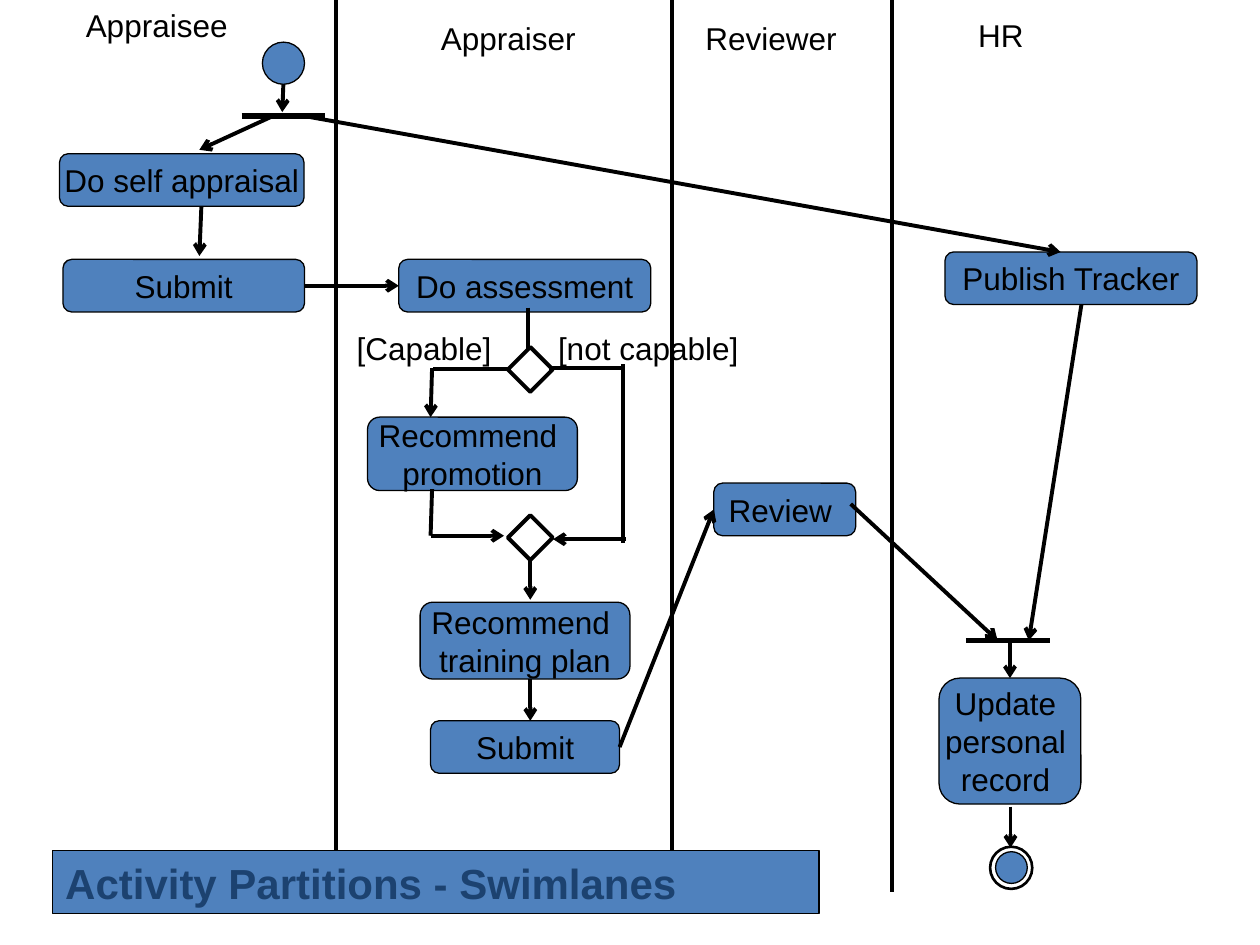
from lxml import etree
from pptx import Presentation
from pptx.dml.color import RGBColor
from pptx.enum import shapes, text
from pptx.oxml.ns import qn
from pptx.util import Cm, Pt

BLUE, BLACK, NAVY = "4F81BD", "000000", "1C4270"
FONT = "Arial"
BOX_H = 1.06
TOP, LEFT, RIGHT = 0, 1, 3
KIND = shapes.MSO_SHAPE


def rgb(value):
    return RGBColor.from_string(value)


def style_text(tf, align, size=18, color=BLACK, bold=False):
    for p in tf.paragraphs:
        p.alignment = align
        p.font.name, p.font.size, p.font.bold = FONT, Pt(size), bold
        p.font.color.rgb = rgb(color)


def paint(sp, fill, weight=0.75):
    if fill:
        sp.fill.solid()
        sp.fill.fore_color.rgb = rgb(fill)
    else:
        sp.fill.background()
    sp.line.color.rgb = rgb(BLACK)
    sp.line.width = Pt(weight)


def add_node(parent, kind, x, y, w, h, fill=BLUE, weight=0.75):
    sp = parent.shapes.add_shape(kind, Cm(x), Cm(y), Cm(w), Cm(h))
    sp.shadow.inherit = False
    paint(sp, fill, weight)
    return sp


def add_activity(s, words, x, y, w, h=BOX_H):
    sp = add_node(s, KIND.ROUNDED_RECTANGLE, x, y, w, h)
    tf = sp.text_frame
    tf.text = words
    tf.word_wrap = False
    tf.vertical_anchor = text.MSO_ANCHOR.MIDDLE
    style_text(tf, text.PP_ALIGN.CENTER)
    return sp


def add_decision(s, x, y):
    sp = add_node(s, KIND.RECTANGLE, x, y, 0.64, 0.64, None, 2.25)
    sp.rotation = 45


def add_label(s, words, x, y, w):
    tf = s.shapes.add_textbox(Cm(x), Cm(y), Cm(w), Cm(1.02)).text_frame
    tf.text = words
    tf.word_wrap = False
    tf.auto_size = text.MSO_AUTO_SIZE.SHAPE_TO_FIT_TEXT
    style_text(tf, text.PP_ALIGN.LEFT)


def add_line(s, x1, y1, x2, y2, arrow=False, weight=2.25):
    cx = s.shapes.add_connector(shapes.MSO_CONNECTOR.STRAIGHT,
                                Cm(x1), Cm(y1), Cm(x2), Cm(y2))
    cx.line.color.rgb = rgb(BLACK)
    cx.line.width = Pt(weight)
    if arrow:
        etree.SubElement(cx.line._get_or_add_ln(), qn("a:tailEnd"), type="arrow")
    etree.SubElement(cx._element.spPr, qn("a:effectLst"))
    return cx


def add_title(s, words):
    sp = s.shapes.title
    sp.left, sp.top, sp.width, sp.height = Cm(1.06), Cm(17.15), Cm(15.45), Cm(1.27)
    paint(sp, BLUE)
    tf = sp.text_frame
    tf.text = words
    tf.auto_size = text.MSO_AUTO_SIZE.NONE
    tf.vertical_anchor = text.MSO_ANCHOR.TOP
    style_text(tf, text.PP_ALIGN.LEFT, 24, NAVY, True)
    s.shapes._spTree.append(sp._element)  # bring in front of the lane borders


def main():
    prs = Presentation()
    prs.slide_width, prs.slide_height = Cm(25.4), Cm(19.05)
    s = prs.slides.add_slide(prs.slide_layouts[5])

    # Swimlane borders, title and lane names
    for x in (6.77, 13.55, 17.99):
        add_line(s, x, 0, x, 17.99)
    add_title(s, "Activity Partitions - Swimlanes")
    for label in (("Appraisee", 1.48, 0, 3.37), ("Appraiser", 8.64, 0.25, 3.22),
                  ("Reviewer", 13.97, 0.25, 3.16), ("HR", 19.47, 0.2, 1.42)):
        add_label(s, *label)

    # Activities
    add_activity(s, "Do self appraisal", 1.2, 3.1, 4.93)
    submit = add_activity(s, "Submit", 1.27, 5.23, 4.87)
    assess = add_activity(s, "Do assessment", 8.04, 5.23, 5.08)
    add_activity(s, "Recommend \npromotion", 7.41, 8.41, 4.23, 1.48)
    add_activity(s, "Recommend \ntraining plan", 8.47, 12.14, 4.23, 1.55)
    send = add_activity(s, "Submit", 8.68, 14.53, 3.81)
    review = add_activity(s, "Review ", 14.39, 9.74, 2.86)
    add_activity(s, "Publish Tracker", 19.05, 5.08, 5.08)
    update = add_activity(s, "Update \npersonal \nrecord ", 18.93, 13.67, 2.86, 2.54)

    # Decision and merge, with guards
    for y in (7.13, 10.52):
        add_decision(s, 10.37, y)
    add_label(s, "[Capable]", 6.94, 6.5, 3.22)
    add_label(s, "[not capable]", 11, 6.5, 4.19)

    # Plain segments around the decision
    for ends in ((10.65, 6.2, 10.65, 7.06), (10.24, 7.44, 8.73, 7.44),
                 (8.71, 9.86, 8.68, 10.8), (12.55, 7.42, 11.07, 7.42),
                 (12.55, 7.34, 12.55, 10.95)):
        add_line(s, *ends)

    # Fork and join bars
    for x, y, w in ((4.87, 2.34, 1.69), (19.47, 12.91, 1.7)):
        add_line(s, x, y, x + w, y, weight=3.25)

    # Flows
    for ends in (
        (5.73, 1.27, 5.69, 2.26),       # start to fork
        (5.5, 2.34, 4.02, 3.02),        # fork to self appraisal
        (6.14, 2.34, 21.38, 5.08),      # fork to tracker
        (4.06, 4.17, 4.02, 5.16),       # self appraisal to submit
        (8.71, 7.42, 8.68, 8.41),       # decision to promotion
        (8.68, 10.8, 10.16, 10.8),      # promotion to merge
        (12.62, 10.87, 11.15, 10.87),   # not capable to merge
        (10.69, 11.25, 10.69, 12.09),   # merge to training plan
        (10.69, 13.69, 10.69, 14.53),   # training plan to submit
        (17.15, 10.16, 20.11, 12.91),   # review to join
        (21.8, 6.14, 20.74, 12.91),     # tracker to join
        (20.37, 16.26, 20.37, 17.09),   # update to end
    ):
        add_line(s, *ends, arrow=True)

    # Flows joined to the middle of a side
    for source, target in ((submit, assess), (send, review)):
        cx = add_line(s, 0, 0, 1, 1, arrow=True)
        cx.begin_connect(source, RIGHT)
        cx.end_connect(target, LEFT)
    add_line(s, 20.36, 12.91, 20.36, 13.67, arrow=True).end_connect(update, TOP)

    # Start and end nodes
    add_node(s, KIND.OVAL, 5.29, 0.85, 0.85, 0.85)
    end = s.shapes.add_group_shape()
    add_node(end, KIND.OVAL, 20.07, 17.17, 0.64, 0.64)
    add_node(end, KIND.OVAL, 19.96, 17.07, 0.85, 0.85, None, 1.5)

    prs.save("out.pptx")


if __name__ == "__main__":
    main()
